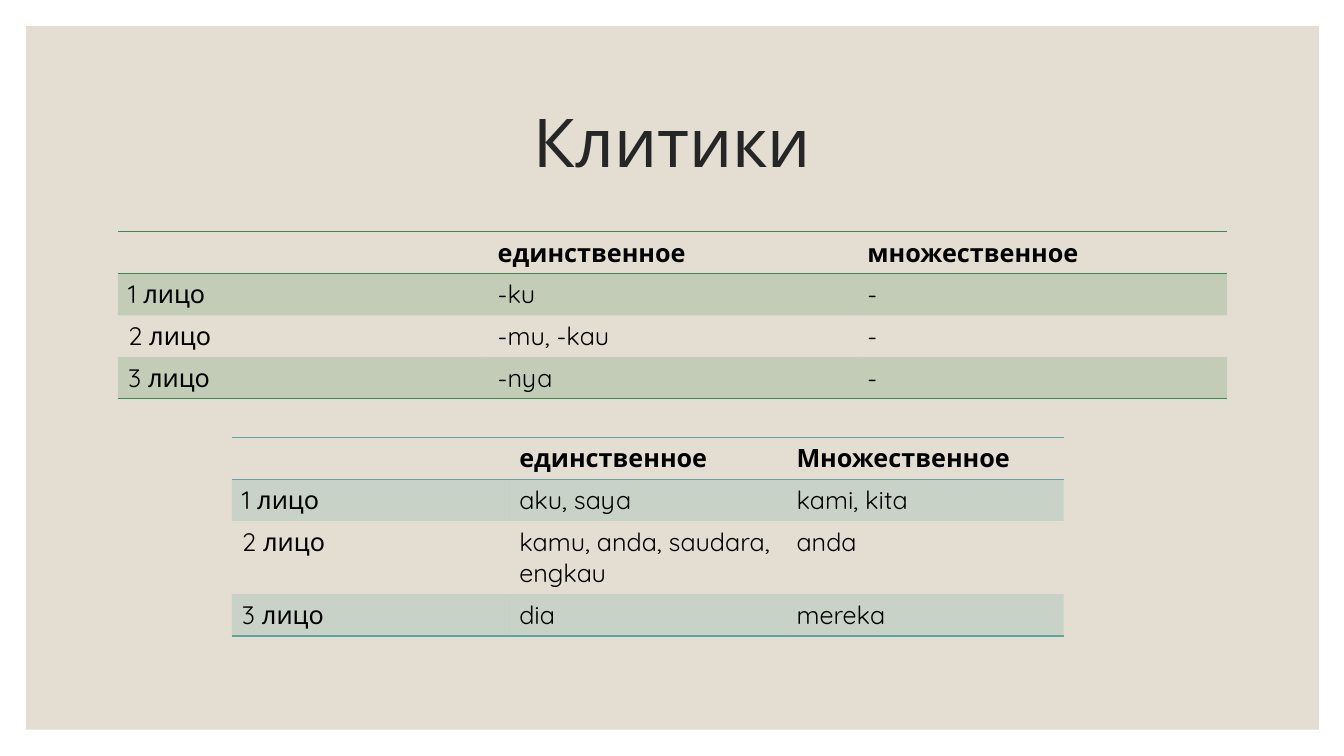
from lxml import etree
from pptx import Presentation
from pptx.dml.color import RGBColor
from pptx.enum.shapes import MSO_SHAPE
from pptx.enum.text import MSO_ANCHOR, PP_ALIGN
from pptx.oxml.ns import qn
from pptx.util import Inches, Pt

RECT = MSO_SHAPE.RECTANGLE
MIDDLE = MSO_ANCHOR.MIDDLE
CENTER = PP_ALIGN.CENTER
SAND = RGBColor(0xE3, 0xDE, 0xD1)
DARK = RGBColor(0x26, 0x26, 0x26)
BLACK = RGBColor(0x00, 0x00, 0x00)
GREEN = RGBColor(0x3E, 0x88, 0x53)
TEAL = RGBColor(0x62, 0xA3, 0x9F)
FONT = "Quicksand"
PLAIN = "{2D5ABB26-0587-4C30-8999-92F81FD0307C}"
ROW = 0.41

CLITICS = [
    ["", "единственное", "множественное"],
    ["1 лицо", "-ku", "-"],
    ["2 лицо", "-mu, -kau", "-"],
    ["3 лицо", "-nya", "-"],
]
PRONOUNS = [
    ["", "единственное", "Множественное"],
    ["1 лицо", "aku, saya", "kami, kita"],
    ["2 лицо", "kamu, anda, saudara, engkau", "anda"],
    ["3 лицо", "dia", "mereka"],
]


class Deck:
    """Holds the style and the current slide."""

    def __init__(self, show):
        self.slide = show.slides.add_slide(show.slide_layouts[5])
        self.shapes = self.slide.shapes

    def style(self, text, size, color, bold=False):
        for run in text.runs:
            run.font.name = FONT
            run.font.size = Pt(size)
            run.font.bold = bold
            run.font.color.rgb = color

    def panel(self, left, top, width, height):
        box = self.shapes.add_shape(
            RECT, Inches(left), Inches(top), Inches(width), Inches(height))
        box.shadow.inherit = False
        box.fill.solid()
        box.fill.fore_color.rgb = SAND
        box.line.fill.background()
        self.shapes._spTree.insert(2, box._element)

    def title(self, text, left, top, width, height):
        box = self.shapes.title
        box.left, box.top = Inches(left), Inches(top)
        box.width, box.height = Inches(width), Inches(height)
        frame = box.text_frame
        frame.text = text
        frame.vertical_anchor = MIDDLE
        para = frame.paragraphs[0]
        para.alignment = CENTER
        para.line_spacing = 0.9
        self.style(para, 48, DARK)

    def border(self, cell, side, color):
        props = cell._tc.get_or_add_tcPr()
        line = etree.SubElement(props, qn("a:" + side), w=str(Pt(1)))
        fill = etree.SubElement(line, qn("a:solidFill"))
        etree.SubElement(fill, qn("a:srgbClr"), val=str(color))

    def tint(self, cell, color):
        cell.fill.solid()
        cell.fill.fore_color.rgb = color
        shade = cell._tc.tcPr.find(".//" + qn("a:solidFill") + "[last()]")
        shade = cell._tc.tcPr.findall(qn("a:solidFill"))[0][0]
        etree.SubElement(shade, qn("a:alpha"), val="20000")

    def table(self, rows, left, top, width, color):
        count = len(rows)
        grid = self.shapes.add_table(
            count, len(rows[0]), Inches(left), Inches(top),
            Inches(width), Inches(ROW * count)).table
        grid._tbl.tblPr.find(qn("a:tableStyleId")).text = PLAIN
        for r, row in enumerate(rows):
            grid.rows[r].height = Inches(ROW)
            for c, text in enumerate(row):
                cell = grid.cell(r, c)
                cell.text_frame.text = text
                self.style(cell.text_frame.paragraphs[0], 18, BLACK, r == 0)
                if r == 0:
                    self.border(cell, "lnT", color)
                if r in (0, count - 1):
                    self.border(cell, "lnB", color)
                if r % 2:
                    self.tint(cell, color)
                else:
                    cell.fill.background()


def main():
    show = Presentation()
    show.slide_width, show.slide_height = Inches(13.33), Inches(7.5)
    deck = Deck(show)
    deck.panel(0.26, 0.26, 12.82, 6.98)
    deck.title("Клитики", 1.17, 0.7, 11, 1.5)
    deck.table(CLITICS, 1.17, 2.3, 11, GREEN)
    deck.table(PRONOUNS, 2.3, 4.34, 8.25, TEAL)
    show.save("out.pptx")


if __name__ == "__main__":
    main()
